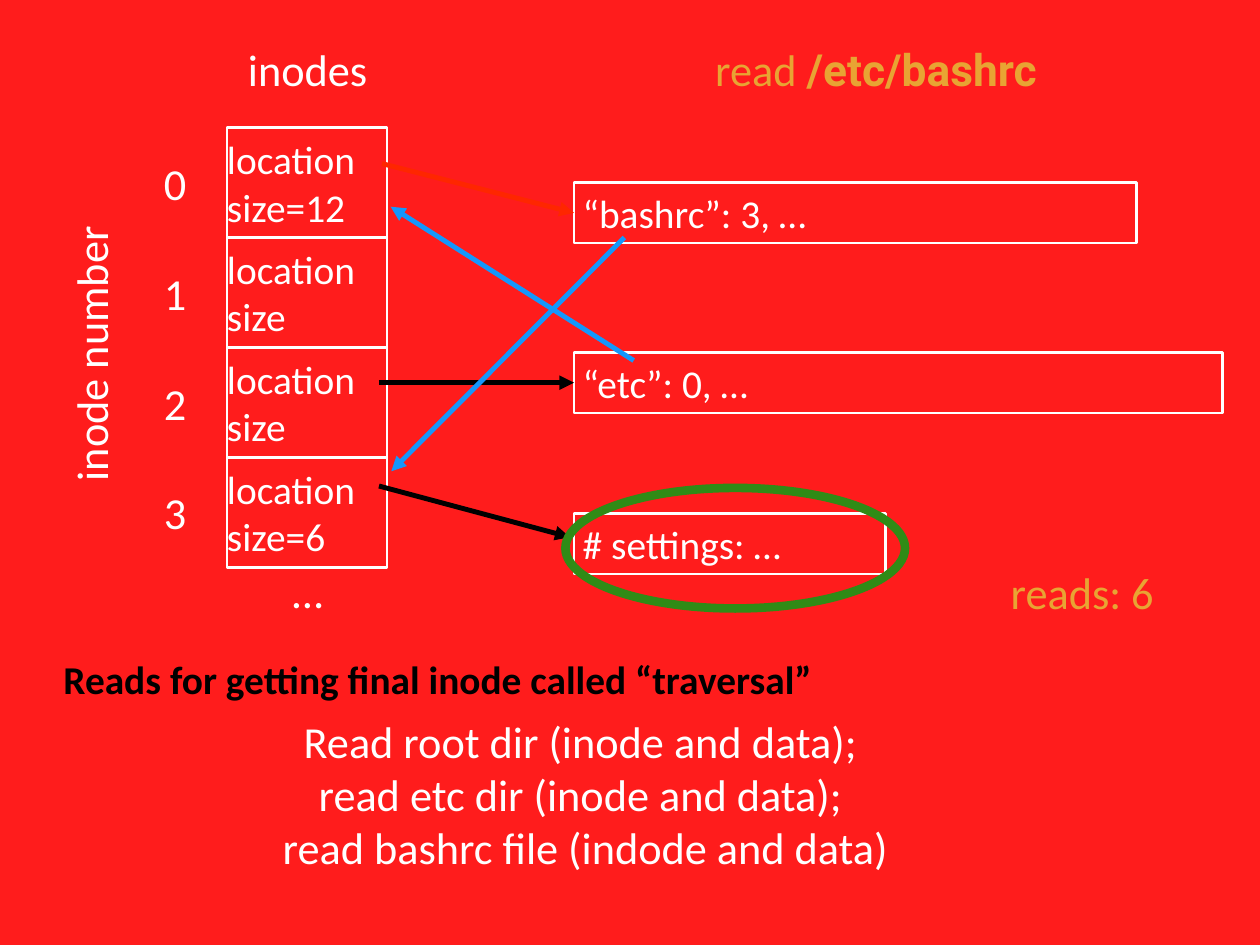
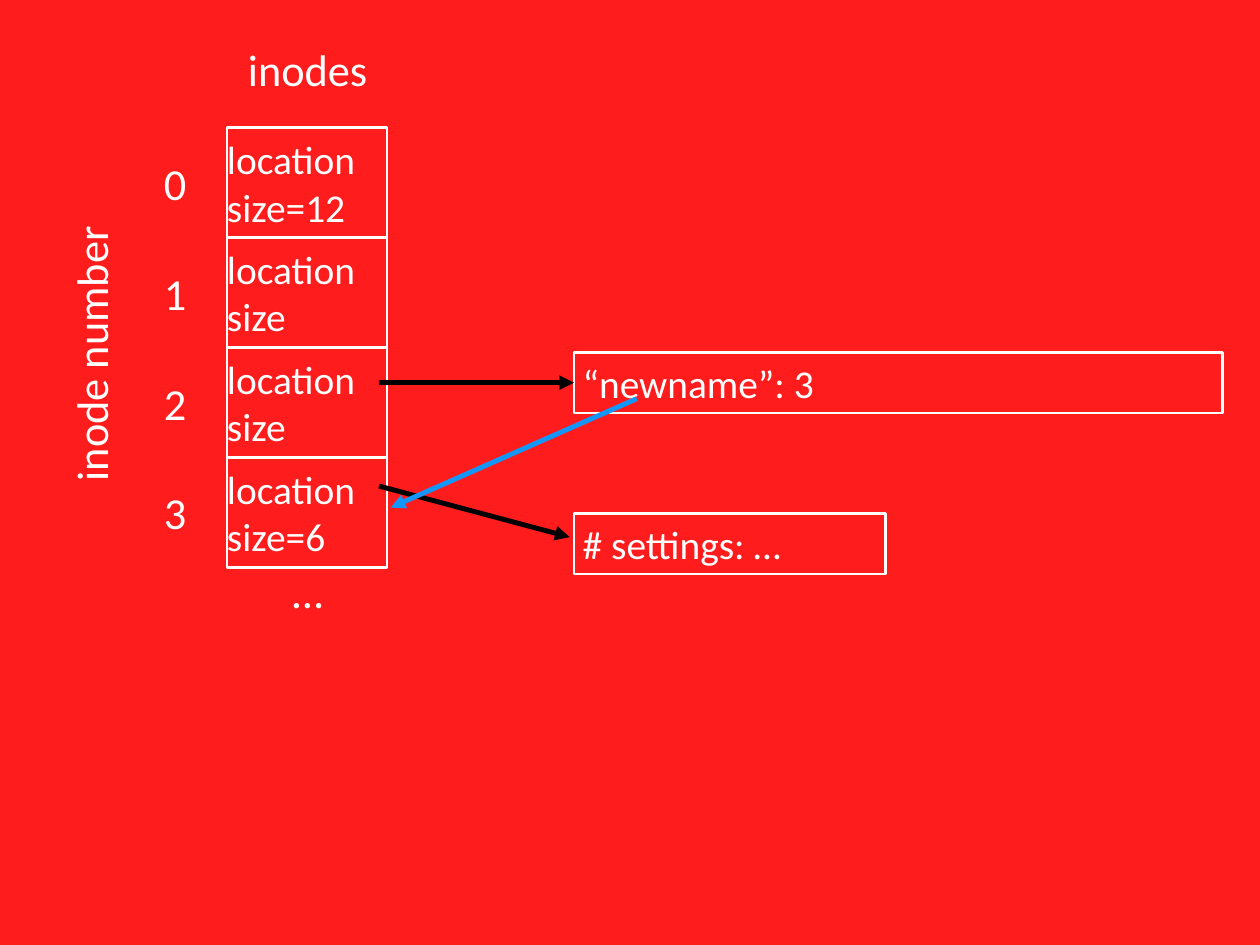
"""Build two slides that trace reads through a table of inodes."""
import dataclasses
import typing

import lxml.etree
import pptx
import pptx.dml.color
import pptx.enum.shapes
import pptx.enum.text
import pptx.oxml.ns
import pptx.shapes.base
import pptx.slide
import pptx.util

Pt = pptx.util.Pt
ALIGN = pptx.enum.text.PP_ALIGN
ANCHOR = pptx.enum.text.MSO_ANCHOR
SHAPE = pptx.enum.shapes.MSO_SHAPE

RED, WHITE, BLACK = "FF1C1C", "FFFFFF", "000000"
GOLD, BLUE, GREEN, ORANGE = "E8A433", "1497FC", "308B16", "FF2600"

NODE_LEFT, NODE_TOP, NODE_WIDE, NODE_HIGH, NODE_STEP = 184.5, 103.5, 130, 90, 89.25
DATA_LEFT, DATA_HIGH = 466.5, 49
NODES = ("size=12", "size", "size", "size=6")


@dataclasses.dataclass(frozen=True)
class Run:
    text: str
    size: float = 36
    hue: str = WHITE
    bold: bool = False
    font: str = "Calibri"


Lines = typing.Sequence[typing.Sequence[Run]]


@dataclasses.dataclass(frozen=True)
class Label:
    left: float
    top: float
    width: float
    height: float
    lines: Lines
    align: ALIGN = ALIGN.CENTER
    anchor: ANCHOR = ANCHOR.MIDDLE
    inset: tuple[float, float] = (4.5, 4.5)
    turn: float = 0


@dataclasses.dataclass(frozen=True)
class Block:
    left: float
    top: float
    width: float
    height: float
    lines: Lines
    indent: float = 0


@dataclasses.dataclass(frozen=True)
class Arrow:
    start: tuple[float, float]
    end: tuple[float, float]
    hue: str
    goal: typing.Optional[pptx.shapes.base.BaseShape] = None


def tint(code: str) -> pptx.dml.color.RGBColor:
    return pptx.dml.color.RGBColor.from_string(code)


def write(shape: pptx.shapes.base.BaseShape, lines: Lines, align: ALIGN,
          anchor: ANCHOR, inset: tuple[float, float], indent: float = 0) -> None:
    frame = shape.text_frame
    frame.vertical_anchor = anchor
    frame.margin_left = Pt(inset[0] + indent)
    frame.margin_right = Pt(inset[0])
    frame.margin_top = frame.margin_bottom = Pt(inset[1])
    for rank, line in enumerate(lines):
        para = frame.add_paragraph() if rank else frame.paragraphs[0]
        para.alignment = align
        for part in line:
            run = para.add_run()
            run.text = part.text
            run.font.name = part.font
            run.font.size = Pt(part.size)
            run.font.bold = part.bold
            run.font.color.rgb = tint(part.hue)


def add_label(slide: pptx.slide.Slide, label: Label) -> None:
    box = slide.shapes.add_textbox(
        Pt(label.left), Pt(label.top), Pt(label.width), Pt(label.height))
    box.rotation = label.turn
    write(box, label.lines, label.align, label.anchor, label.inset)
    box.text_frame.word_wrap = False
    box.text_frame.auto_size = pptx.enum.text.MSO_AUTO_SIZE.SHAPE_TO_FIT_TEXT


def add_frame(slide: pptx.slide.Slide, kind: SHAPE, place: tuple[float, ...],
              hue: str, weight: float) -> pptx.shapes.base.BaseShape:
    shape = slide.shapes.add_shape(kind, *map(Pt, place))
    shape.shadow.inherit = False
    shape.fill.background()
    shape.line.color.rgb = tint(hue)
    shape.line.width = Pt(weight)
    return shape


def add_block(slide: pptx.slide.Slide, block: Block) -> pptx.shapes.base.BaseShape:
    place = (block.left, block.top, block.width, block.height)
    shape = add_frame(slide, SHAPE.RECTANGLE, place, WHITE, 2)
    write(shape, block.lines, ALIGN.LEFT, ANCHOR.MIDDLE, (0, 0), block.indent)
    shape.text_frame.word_wrap = True
    return shape


def add_data(slide: pptx.slide.Slide, top: float, width: float,
             text: str) -> pptx.shapes.base.BaseShape:
    return add_block(slide, Block(DATA_LEFT, top, width, DATA_HIGH, [[Run(text, 32)]], 7))


def add_arrow(slide: pptx.slide.Slide, arrow: Arrow) -> None:
    line = slide.shapes.add_connector(
        pptx.enum.shapes.MSO_CONNECTOR.STRAIGHT, *map(Pt, arrow.start + arrow.end))
    if arrow.goal is not None:
        line.end_connect(arrow.goal, 1)
    line.line.color.rgb = tint(arrow.hue)
    line.line.width = Pt(4)
    name = pptx.oxml.ns.qn
    tip = lxml.etree.SubElement(line.line._get_or_add_ln(), name("a:tailEnd"))
    tip.set("type", "triangle")
    lxml.etree.SubElement(line._element.spPr, name("a:effectLst"))


def add_base(deck: pptx.presentation.Presentation, root: str) -> pptx.slide.Slide:
    slide = deck.slides.add_slide(deck.slide_layouts[6])
    for rank, size in enumerate(NODES):
        shift = rank * NODE_STEP
        add_block(slide, Block(NODE_LEFT, NODE_TOP + shift, NODE_WIDE, NODE_HIGH,
                               [[Run("location", 32)], [Run(size, 32)]]))
        add_label(slide, Label(127, 123 + shift, 29, 51, [[Run(str(rank))]], ALIGN.RIGHT))
    add_label(slide, Label(191.5, 30, 117, 51, [[Run("inodes")]]))
    add_label(slide, Label(227.5, 455, 45, 51, [[Run("…")]]))
    add_label(slide, Label(-43, 262, 233, 51, [[Run("inode number")]], turn=270))
    add_data(slide, 417.5, 253, "# settings: …")
    goal = add_data(slide, 286.5, 527, root)
    add_arrow(slide, Arrow((308, 395), (463, 436.5), BLACK))
    add_arrow(slide, Arrow((308, 311), (462.5, 311), BLACK, goal))
    return slide


def add_read(deck: pptx.presentation.Presentation) -> None:
    slide = add_base(deck, "“etc”: 0, …")
    goal = add_data(slide, 148.5, 457, "“bashrc”: 3, …")
    for arrow in (
        Arrow((310.5, 133), (461, 172), ORANGE, goal),
        Arrow((515, 293), (317.5, 168), BLUE),
        Arrow((507.5, 193), (318, 383), BLUE),
    ):
        add_arrow(slide, arrow)
    add_frame(slide, SHAPE.OVAL, (459.5, 396.5, 276, 98), GREEN, 7)
    steps = ("Read root dir (inode and data); ", "read etc dir (inode and data); ",
             "read bashrc file (indode and data)")
    title = [Run("read ", hue=GOLD), Run("/etc/bashrc", hue=GOLD, bold=True, font="Roboto")]
    note = Run("Reads for getting final inode called “traversal”", 32, BLACK, True)
    for label in (
        Label(571, 30, 282, 51, [title]),
        Label(809.5, 455.5, 140, 51, [[Run("reads: 6", hue=GOLD)]]),
        Label(211.5, 576.5, 528.5, 138, [[Run(step)] for step in steps],
              anchor=ANCHOR.TOP, inset=(7.2, 3.6)),
        Label(16.5, 529, 679, 46, [[note]], anchor=ANCHOR.TOP, inset=(7.2, 3.6)),
    ):
        add_label(slide, label)


def add_rename(deck: pptx.presentation.Presentation) -> None:
    slide = add_base(deck, "“newname”: 3")
    add_arrow(slide, Arrow((517.5, 324), (317.5, 412.5), BLUE))


def main() -> None:
    deck = pptx.Presentation()
    deck.slide_width, deck.slide_height = Pt(1024), Pt(768)
    fill = deck.slide_master.background.fill
    fill.solid()
    fill.fore_color.rgb = tint(RED)
    add_read(deck)
    add_rename(deck)
    deck.save("out.pptx")


if __name__ == "__main__":
    main()
